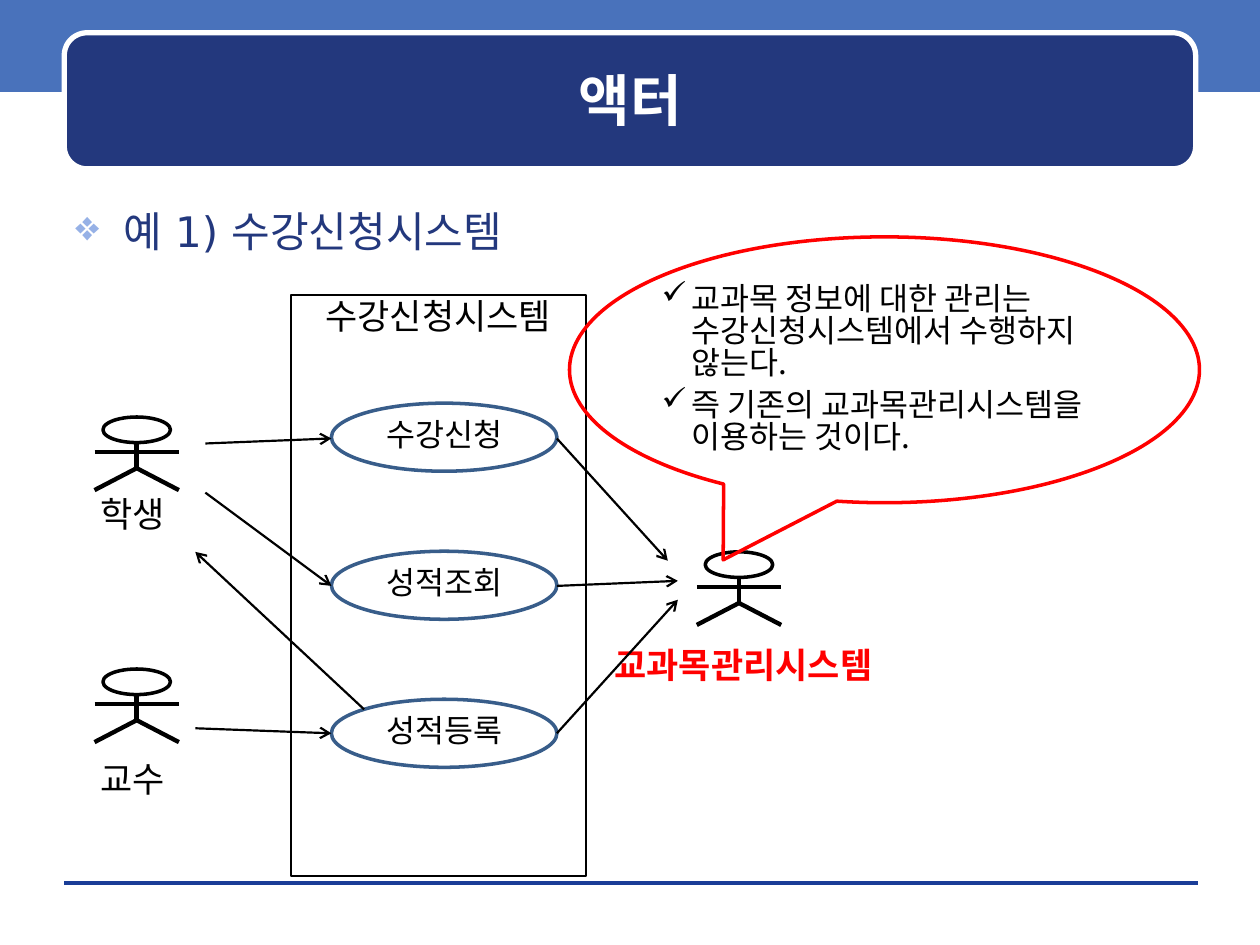
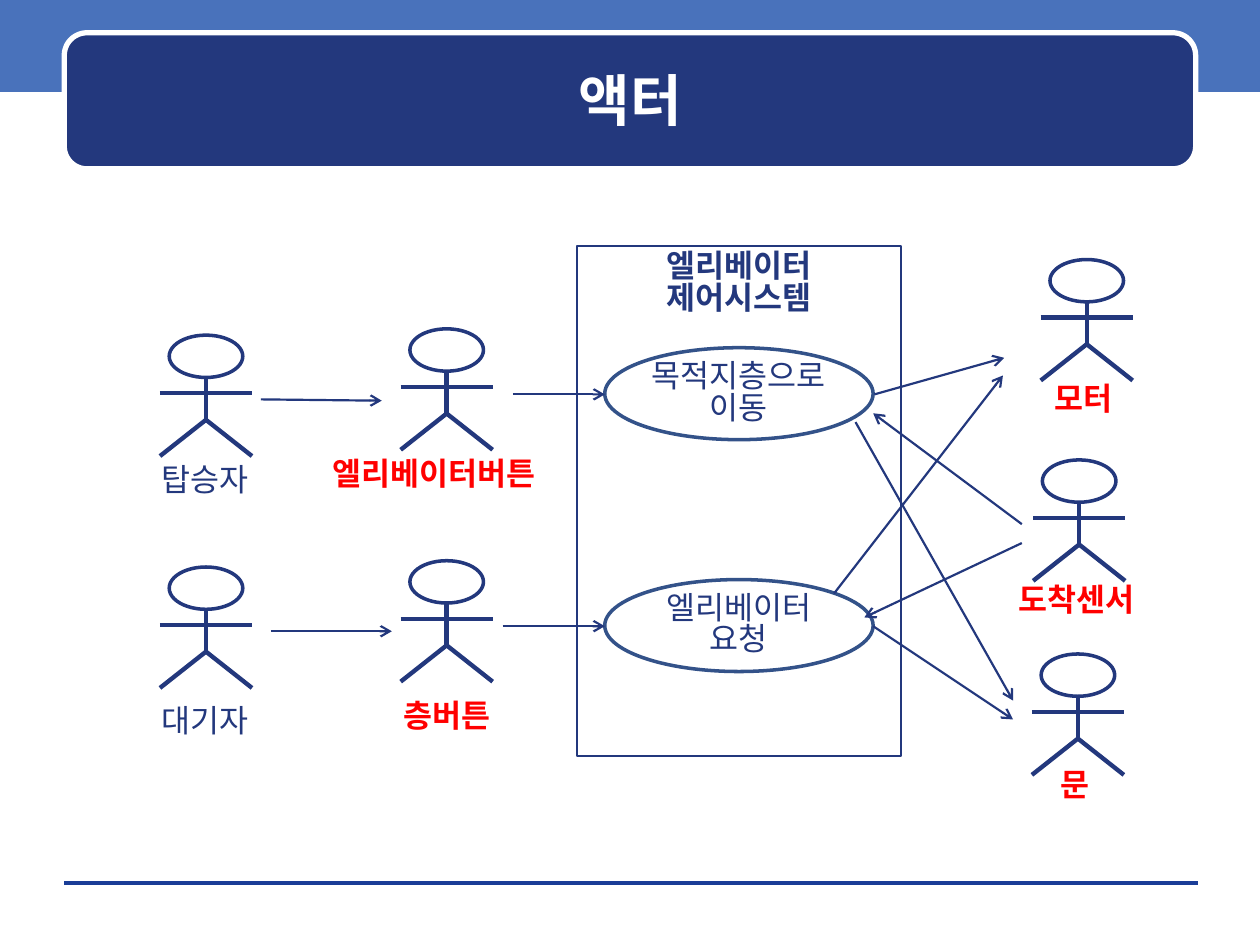
from lxml import etree
from pptx import Presentation
from pptx.dml.color import RGBColor
from pptx.enum.shapes import MSO_CONNECTOR, MSO_SHAPE
from pptx.enum.text import MSO_ANCHOR, MSO_AUTO_SIZE, PP_ALIGN
from pptx.oxml.ns import qn
from pptx.util import Inches, Pt

# Shared look
NAVY, BAND, RULE = "23387D", "4972BB", "1A3D97"
BLACK, WHITE, RED = "000000", "FFFFFF", "FF0000"
BULLET_BLUE = "96B1E6"
TITLE_FONT, KOREAN_FONT = "DejaVu Sans", "Noto Sans CJK KR"
LINE_SPACING = 0.84


def color(hex_string):
    return RGBColor.from_string(hex_string)


def inches(*lengths):
    return [Inches(length) for length in lengths]


def set_bullet(paragraph, character, bullet_color, indent):
    properties = paragraph._p.get_or_add_pPr()
    properties.set("marL", str(Inches(indent)))
    properties.set("indent", str(-Inches(indent)))
    holder = etree.SubElement(properties, qn("a:buClr"))
    etree.SubElement(holder, qn("a:srgbClr"), val=bullet_color)
    etree.SubElement(properties, qn("a:buChar"), char=character)


def write_text(shape, text, size, text_color, bold=False, font=KOREAN_FONT,
               align=PP_ALIGN.CENTER, anchor=MSO_ANCHOR.TOP, wrap=True,
               side_inset=0.1, bullet=None):
    frame = shape.text_frame
    frame.text = text
    frame.word_wrap = wrap
    frame.auto_size = MSO_AUTO_SIZE.NONE
    frame.vertical_anchor = anchor
    frame.margin_left = frame.margin_right = Inches(side_inset)
    frame.margin_top = frame.margin_bottom = Inches(0.05)
    for index, paragraph in enumerate(frame.paragraphs):
        if bullet:
            set_bullet(paragraph, *bullet)
        paragraph.alignment = align
        paragraph.space_before = Pt(6 if bullet and index else 0)
        if font == KOREAN_FONT:
            paragraph.line_spacing = LINE_SPACING
        for run in paragraph.runs:
            run.font.size = Pt(size)
            run.font.bold = bold
            run.font.name = font
            run.font.color.rgb = color(text_color)
            latin = run._r.rPr.find(qn("a:latin"))
            latin.addnext(latin.makeelement(qn("a:ea"), typeface=font))


def add_shape(slide, kind, box, fill=None, line=None, width=1.0):
    shape = slide.shapes.add_shape(kind, *inches(*box))
    shape.shadow.inherit = False
    if fill:
        shape.fill.solid()
        shape.fill.fore_color.rgb = color(fill)
    else:
        shape.fill.background()
    if line:
        shape.line.color.rgb = color(line)
        shape.line.width = Pt(width)
    else:
        shape.line.fill.background()
    return shape


def add_line(slide, ends, line_color, width, arrow=False):
    line = slide.shapes.add_connector(MSO_CONNECTOR.STRAIGHT, *inches(*ends))
    line.line.color.rgb = color(line_color)
    line.line.width = Pt(width)
    if arrow:
        etree.SubElement(line.line._get_or_add_ln(), qn("a:tailEnd"), type="arrow")
    etree.SubElement(line._element.spPr, qn("a:effectLst"))


def add_text(slide, box, text, size, text_color, **options):
    text_box = slide.shapes.add_textbox(*inches(*box))
    write_text(text_box, text, size, text_color, **options)


# Frame shared by the slides: band, footer rule, title plate
def add_titled_slide(presentation, title_text):
    slide = presentation.slides.add_slide(presentation.slide_layouts[5])
    add_shape(slide, MSO_SHAPE.RECTANGLE, (0, -0.03, 10, 0.76), BAND)
    add_line(slide, (0.51, 7.01, 9.51, 7.01), RULE, 0)
    plate = add_shape(slide, MSO_SHAPE.ROUNDED_RECTANGLE,
                      (0.51, 0.26, 8.98, 1.08), NAVY, WHITE, 3)
    title = slide.shapes.title
    title.left, title.top, title.width, title.height = inches(0.6, 0.35, 8.81, 0.88)
    write_text(title, title_text, 32, WHITE, bold=True, font=TITLE_FONT,
               anchor=MSO_ANCHOR.MIDDLE)
    plate._element.addnext(title._element)
    return slide


# Parts of a use case diagram
def add_actor(slide, box, line_color):
    left, top, width, height = box
    center, right, bottom = left + width / 2, left + width, top + height
    neck, arms, hip = (top + height * part for part in (0.35, 0.48, 0.7))
    add_shape(slide, MSO_SHAPE.OVAL,
              (left + 0.1 * width, top, 0.8 * width, neck - top),
              line=line_color, width=2)
    for ends in ((center, neck, center, hip), (left, arms, right, arms),
                 (center, hip, left, bottom), (center, hip, right, bottom)):
        add_line(slide, ends, line_color, 2.5)


def add_system(slide, box, name, size, line_color, bold=False):
    system = add_shape(slide, MSO_SHAPE.RECTANGLE, box, line=line_color, width=1.25)
    write_text(system, name, size, line_color, bold=bold)


def add_use_case(slide, box, name, line_color, text_color):
    use_case = add_shape(slide, MSO_SHAPE.OVAL, box, line=line_color, width=2)
    write_text(use_case, name, 18, text_color, anchor=MSO_ANCHOR.MIDDLE, side_inset=0)


def add_arrows(slide, arrows, line_color):
    for ends in arrows:
        add_line(slide, ends, line_color, 1.25, arrow=True)


def add_callout(slide, box, text):
    callout = add_shape(slide, MSO_SHAPE.OVAL_CALLOUT, box, line=RED, width=2)
    callout.adjustments[0], callout.adjustments[1] = -0.256, 0.715
    write_text(callout, text, 18, BLACK, align=PP_ALIGN.LEFT,
               anchor=MSO_ANCHOR.MIDDLE, side_inset=0, bullet=("✓", BLACK, 0.24))


def build_enrolment_slide(presentation):
    slide = add_titled_slide(presentation, "액터")
    add_text(slide, (0.5, 1.58, 9, 5.33), "예 1) 수강신청시스템", 24, NAVY,
             font=TITLE_FONT, align=PP_ALIGN.LEFT, bullet=("❖", BULLET_BLUE, 0.38))

    # Actors: left, top, then label box, text and colour
    actors = [
        (0.75, 3.31, (0.47, 3.91, 1.16, 0.44), "학생", BLACK),
        (0.75, 5.31, (0.47, 6.02, 1.16, 0.44), "교수", BLACK),
        (5.53, 4.38, (4.68, 5.11, 2.44, 0.44), "교과목관리시스템", RED),
    ]
    for left, top, label_box, label, label_color in actors:
        add_actor(slide, (left, top, 0.67, 0.58), BLACK)
        add_text(slide, label_box, label, 20, label_color, bold=label_color == RED)

    # System and its use cases
    add_system(slide, (2.31, 2.34, 2.34, 4.61), "수강신청시스템", 20, BLACK)
    for row, name in enumerate(["수강신청", "성적조회", "성적등록"]):
        add_use_case(slide, (2.63, 3.2 + 1.175 * row, 1.79, 0.54), name,
                     "385D8A", BLACK)

    add_arrows(slide, [
        (1.63, 3.52, 2.63, 3.48), (1.63, 3.91, 2.63, 4.65),
        (1.55, 5.78, 2.63, 5.82), (4.42, 3.48, 5.3, 4.45),
        (4.42, 4.65, 5.38, 4.61), (4.42, 5.82, 5.38, 4.76),
        (2.89, 5.63, 1.55, 4.38),
    ], BLACK)
    add_callout(slide, (4.52, 1.88, 5, 2.11),
                "교과목 정보에 대한 관리는 수강신청시스템에서 수행하지 않는다.\n"
                "즉 기존의 교과목관리시스템을 이용하는 것이다.")


def build_elevator_slide(presentation):
    slide = add_titled_slide(presentation, "액터")

    # Actors: left, top, then label left, top, width, text and colour
    actors = [
        (1.27, 2.66, 1.18, 3.65, 0.89, "탑승자", NAVY),
        (1.27, 4.5, 1.18, 5.56, 0.89, "대기자", NAVY),
        (3.18, 2.61, 2.54, 3.6, 1.81, "엘리베이터버튼", RED),
        (3.18, 4.45, 3.1, 5.52, 0.89, "층버튼", RED),
        (8.26, 2.06, 8.27, 3.01, 0.66, "모터", RED),
        (8.2, 3.65, 7.98, 4.6, 1.12, "도착센서", RED),
        (8.19, 5.19, 8.32, 6.07, 0.43, "문", RED),
    ]
    for left, top, label_left, label_top, label_width, label, label_color in actors:
        add_actor(slide, (left, top, 0.73, 0.96), NAVY)
        add_text(slide, (label_left, label_top, label_width, 0.4), label, 18,
                 label_color, bold=label_color == RED, wrap=False)

    # System and its use cases
    add_system(slide, (4.58, 1.95, 2.57, 4.05), "엘리베이터\n제어시스템", 18, NAVY,
               bold=True)
    for row, name in enumerate(["목적지층으로\n이동", "엘리베이터\n요청"]):
        add_use_case(slide, (4.8, 2.76 + 1.84 * row, 2.13, 0.73), name,
                     "335289", NAVY)

    add_arrows(slide, [
        (2.07, 3.17, 3.03, 3.18), (2.15, 5.01, 3.11, 5.01),
        (4.07, 3.13, 4.8, 3.13), (3.99, 4.97, 4.8, 4.97),
        (6.94, 3.13, 7.97, 2.84), (6.62, 4.71, 7.96, 2.98),
        (6.79, 3.35, 8.04, 5.56), (8.11, 4.16, 6.93, 3.28),
        (6.93, 4.97, 8.04, 5.71), (8.11, 4.31, 6.86, 4.9),
    ], NAVY)


def main():
    presentation = Presentation()
    presentation.slide_width, presentation.slide_height = inches(10, 7.5)
    build_enrolment_slide(presentation)
    build_elevator_slide(presentation)
    presentation.save("out.pptx")


if __name__ == "__main__":
    main()
